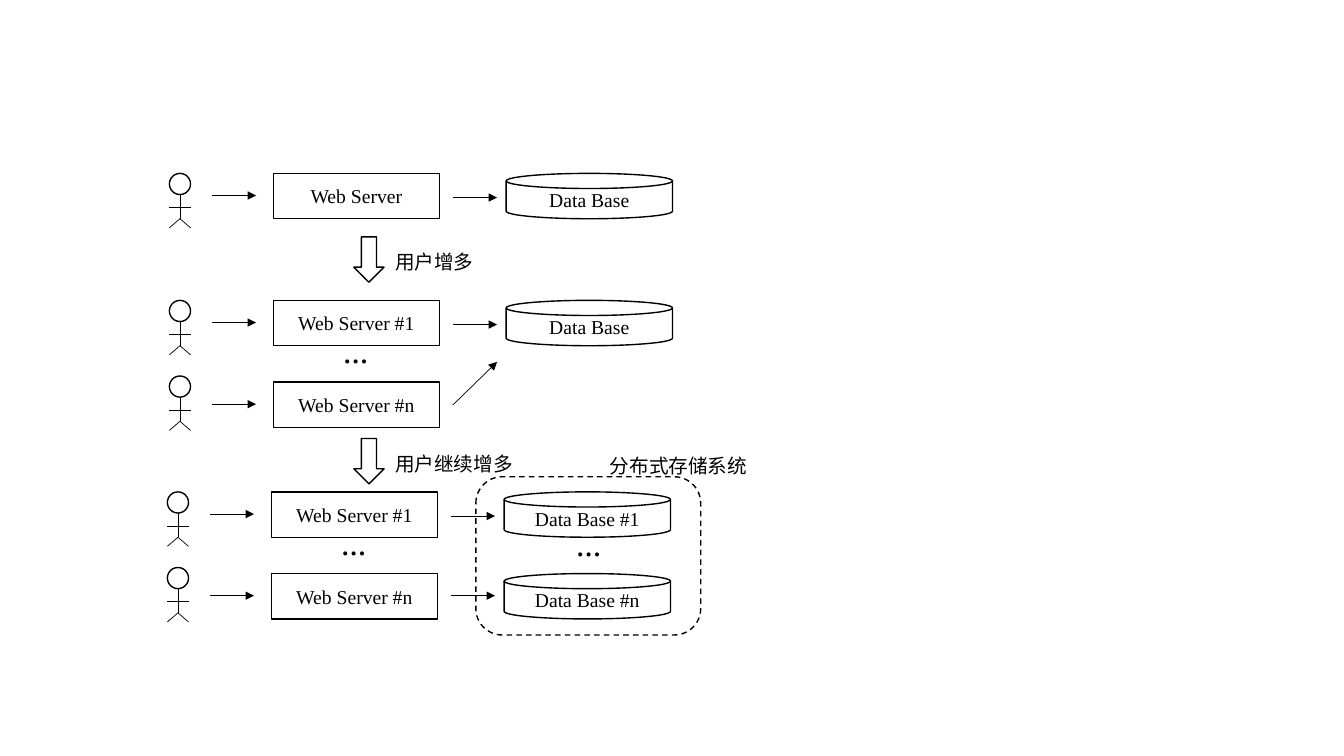
from dataclasses import dataclass

from lxml import etree
from pptx import Presentation
from pptx.dml import color
from pptx.enum import dml, shapes, text
from pptx.oxml import ns
from pptx.util import Inches, Pt


@dataclass(frozen=True)
class Theme:
    ink: color.RGBColor = color.RGBColor(0, 0, 0)
    paper: color.RGBColor = color.RGBColor(255, 255, 255)
    latin: str = "Times New Roman"
    chinese: str = "Noto Sans CJK SC"
    label_size: int = 14
    dots_size: int = 18
    outline: float = 1
    thin: float = 0.5


THEME = Theme()
KIND = shapes.MSO_SHAPE
CENTER = text.PP_ALIGN.CENTER
NODE_WIDTH, NODE_HEIGHT = 1.65, 0.45
SERVER_X, BASE_X = 1.03, 3.34
ROW_STEP = 0.81


def write(frame, words, font_name, size=THEME.label_size, bold=False, align=None):
    frame.word_wrap = True
    para = frame.paragraphs[0]
    para.alignment = align
    para.font.name = font_name
    para.font.size = Pt(size)
    para.font.bold = bold
    para.font.color.rgb = THEME.ink
    span = para.add_run()
    span.text = words
    if font_name == THEME.chinese:
        span.font.name = font_name
        properties = span.font._element
        etree.SubElement(properties, ns.qn("a:ea"), typeface=font_name)


def add_outline(page, kind, left, top, width, height, filled=True):
    shape = page.shapes.add_shape(
        kind, Inches(left), Inches(top), Inches(width), Inches(height))
    shape.shadow.inherit = False
    if filled:
        shape.fill.solid()
        shape.fill.fore_color.rgb = THEME.paper
    else:
        shape.fill.background()
    shape.line.color.rgb = THEME.ink
    shape.line.width = Pt(THEME.outline)
    return shape


def add_line(page, start, end, arrow=False):
    line = page.shapes.add_connector(
        shapes.MSO_CONNECTOR.STRAIGHT, *(Inches(value) for value in (*start, *end)))
    line.line.color.rgb = THEME.ink
    line.line.width = Pt(THEME.thin)
    if arrow:
        etree.SubElement(line.line._get_or_add_ln(), ns.qn("a:tailEnd"), type="triangle")
    etree.SubElement(line._element.spPr, ns.qn("a:effectLst"))


def add_text(page, words, left, top, width, height, **style):
    box = page.shapes.add_textbox(
        Inches(left), Inches(top), Inches(width), Inches(height))
    write(box.text_frame, words, THEME.chinese, **style)


def add_dots(page, node_left, node_top):
    add_text(page, "…", node_left + 0.16, node_top + 0.41, 1.33, 0.4,
             size=THEME.dots_size, bold=True, align=CENTER)


def add_node(page, kind, words, left, top):
    node = add_outline(page, kind, left, top, NODE_WIDTH, NODE_HEIGHT)
    node.text_frame.vertical_anchor = text.MSO_ANCHOR.MIDDLE
    write(node.text_frame, words, THEME.latin, align=CENTER)


def add_user(page, left, top):
    head = 0.21
    middle, right, hip, foot = left + head / 2, left + head, top + 0.45, top + 0.54
    add_outline(page, KIND.OVAL, left, top, head, head)
    add_line(page, (middle, top + head), (middle, hip))
    for side in (left, right):
        add_line(page, (middle, hip), (side, foot))
    add_line(page, (left, top + 0.34), (right, top + 0.34))


def add_row(page, left, top, server, base=None, user_rise=0, link=(0.24, 0.24)):
    add_user(page, left, top - user_rise)
    add_node(page, KIND.RECTANGLE, server, left + SERVER_X, top)
    if base:
        add_node(page, KIND.FLOWCHART_MAGNETIC_DISK, base, left + BASE_X, top)
    add_line(page, (left + 0.42, top + 0.22), (left + 0.86, top + 0.22), arrow=True)
    add_line(page, (left + 2.81, top + link[0]), (left + 3.25, top + link[1]), arrow=True)


def add_server_pair(page, left, top, bases, second_link):
    add_row(page, left, top, "Web Server #1", bases[0])
    add_row(page, left, top + ROW_STEP, "Web Server #n", bases[1],
            user_rise=0.06, link=second_link)
    add_dots(page, left + SERVER_X, top)


def add_growth_step(page, left, top, words, label_width):
    add_outline(page, KIND.DOWN_ARROW, left, top, 0.3, 0.45)
    add_text(page, words, left + 0.31, top + 0.08, label_width, 0.34)


def add_storage_group(page, left, top, width, height):
    group = add_outline(page, KIND.ROUNDED_RECTANGLE, left, top, width, height, filled=False)
    group.line.dash_style = dml.MSO_LINE.DASH
    add_dots(page, left + 0.3, top + 0.16)
    add_text(page, "分布式存储系统", left + 1.23, top - 0.28, 1.83, 0.34)


def main():
    deck = Presentation()
    deck.slide_width, deck.slide_height = Inches(13.33), Inches(7.5)
    page = deck.slides.add_slide(deck.slide_layouts[6])
    add_row(page, 1.68, 1.72, "Web Server", "Data Base")
    add_growth_step(page, 3.51, 2.35, "用户增多", 1.34)
    add_server_pair(page, 1.68, 2.98, ("Data Base", None), (0.23, -0.2))
    add_growth_step(page, 3.51, 4.35, "用户继续增多", 1.83)
    add_server_pair(page, 1.66, 4.88, ("Data Base #1", "Data Base #n"), (0.22, 0.22))
    add_storage_group(page, 4.72, 4.73, 2.23, 1.57)
    deck.save("out.pptx")


main()
